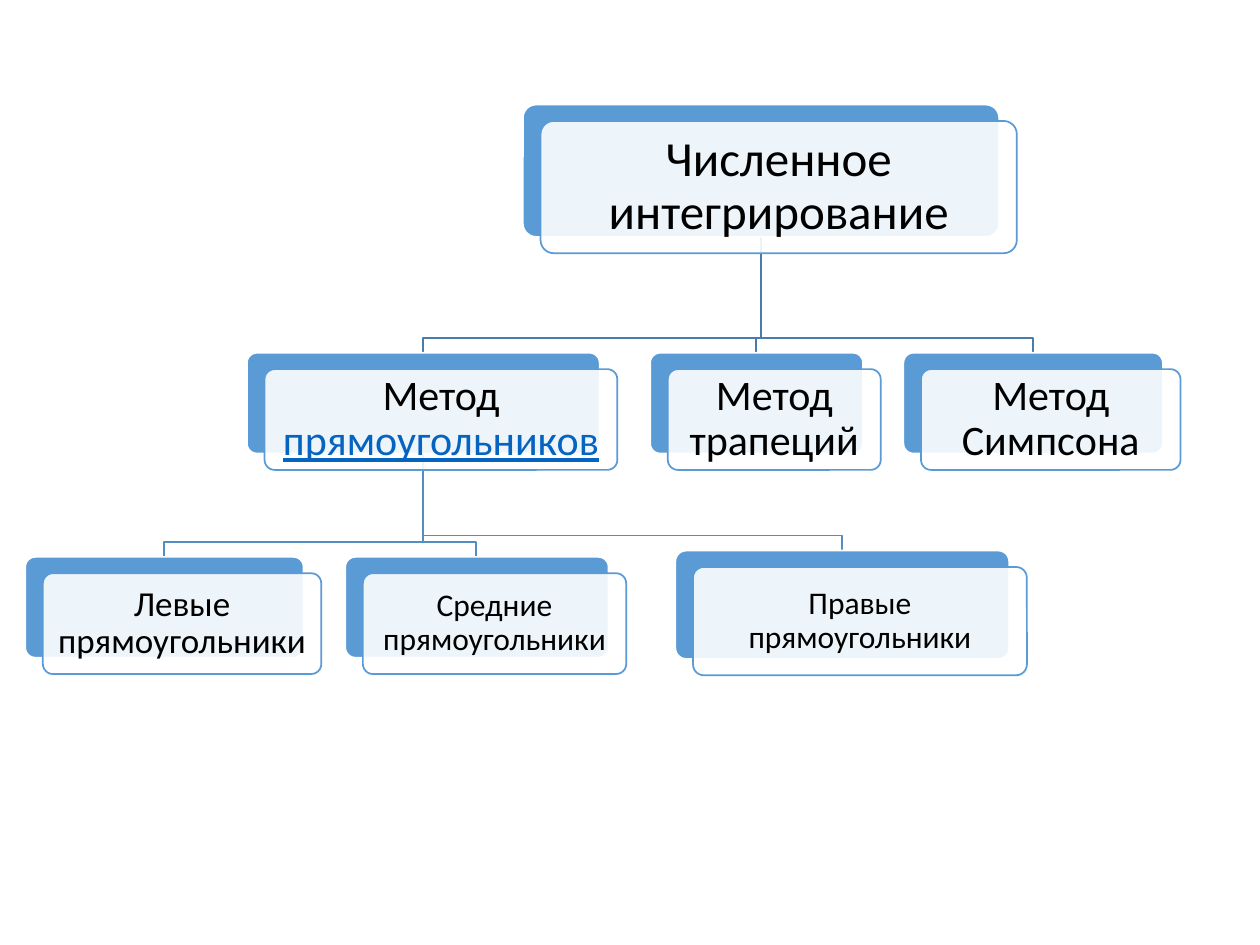
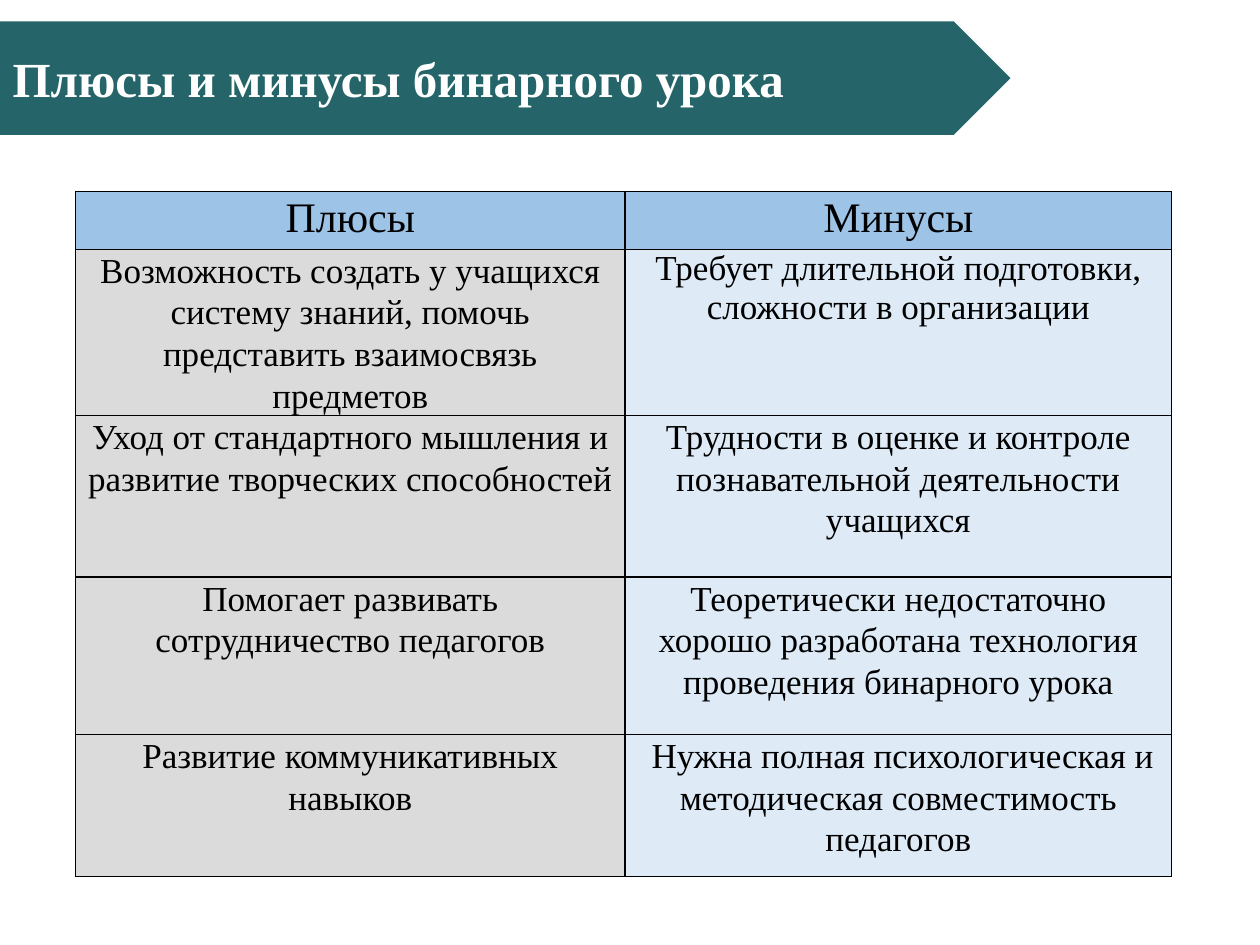
from lxml import etree
from pptx import Presentation
from pptx.dml.color import RGBColor
from pptx.enum.shapes import MSO_SHAPE
from pptx.enum.text import MSO_ANCHOR, MSO_AUTO_SIZE, PP_ALIGN
from pptx.oxml.ns import qn
from pptx.util import Pt

PX = 9144  # EMU per px, 100 px to the inch
ROUNDED, PENTAGON = MSO_SHAPE.ROUNDED_RECTANGLE, MSO_SHAPE.PENTAGON
CENTER, LEFT = PP_ALIGN.CENTER, PP_ALIGN.LEFT
MIDDLE, NO_FIT = MSO_ANCHOR.MIDDLE, MSO_AUTO_SIZE.NONE
TITLE_ONLY, BLANK = 5, 6

BLACK = RGBColor(0x00, 0x00, 0x00)
WHITE = RGBColor(0xFF, 0xFF, 0xFF)
BLUE = RGBColor(0x5B, 0x9B, 0xD5)
UPPER_BRANCH = RGBColor(0x49, 0x7C, 0xAB)
LOWER_BRANCH = RGBColor(0x53, 0x8D, 0xC1)
LINK_BLUE = RGBColor(0x05, 0x63, 0xC1)
TEAL = RGBColor(0x25, 0x65, 0x69)
HEADER_BLUE = RGBColor(0x9D, 0xC3, 0xE6)
PLUS_GREY = RGBColor(0xDB, 0xDB, 0xDB)
MINUS_BLUE = RGBColor(0xDE, 0xEB, 0xF7)

SANS, SERIF = "Calibri", "Times New Roman"
CARD_SHIFT, BEND_GAP = (14, 13), 12

# Cards: box of the back plate, text, size, text inset
ROOT = ((415, 83, 378, 105), "Численное интегрирование", 28, 12)
RECTANGLES = ((196, 280, 280, 80), "Метод прямоугольников", 24, 10)
METHODS = [
    RECTANGLES,
    ((516, 280, 169, 80), "Метод трапеций", 24, 10),
    ((717, 280, 206, 80), "Метод Симпсона", 24, 10),
]
VARIANTS = [
    ((20, 442, 221, 80), "Левые прямоугольники", 20, 8),
    ((274, 442, 209, 80), "Средние прямоугольники", 18, 7),
    ((536, 437, 265, 86), "Правые прямоугольники", 18, 7),
]
LINKED_WORD = "прямоугольников"

TITLE = "Плюсы и минусы бинарного урока"
PROS_AND_CONS = [
    ("Плюсы", "Минусы"),
    ("Возможность создать у учащихся систему знаний, помочь представить взаимосвязь предметов",
     "Требует длительной подготовки, сложности в организации"),
    ("Уход от стандартного мышления и развитие творческих способностей",
     "Трудности в оценке и контроле познавательной деятельности учащихся"),
    ("Помогает развивать сотрудничество педагогов",
     "Теоретически недостаточно хорошо разработана технология проведения бинарного урока"),
    ("Развитие коммуникативных навыков",
     " Нужна полная психологическая и методическая совместимость педагогов"),
]
SINGLE_SPACED = (1, 1)
COLUMN_WIDTHS = (436, 434)
ROW_HEIGHTS = (46, 132, 128, 125, 113)


def emu(*lengths):
    return [length * PX for length in lengths]


def apply(target, values):
    for name, value in values.items():
        setattr(target, name, value)


def add_run(paragraph, text, font, size, color, **extra):
    run = paragraph.add_run()
    run.text = text
    apply(run.font, {"name": font, "size": Pt(size), **extra})
    run.font.color.rgb = color


def set_margins(holder, horizontal, vertical):
    apply(holder, {"margin_left": horizontal * PX, "margin_right": horizontal * PX,
                   "margin_top": vertical * PX, "margin_bottom": vertical * PX})


def add_plate(slide, preset, box, fill, line=None):
    plate = slide.shapes.add_shape(preset, *emu(*box))
    plate.shadow.inherit = False
    plate.fill.solid()
    plate.fill.fore_color.rgb = fill
    if line is None:
        plate.line.fill.background()
    else:
        plate.line.color.rgb = line
        plate.line.width = Pt(1)
    return plate


def add_branch(slide, parent_box, child_box, color):
    """Bent line from the bottom of the parent to the top of the child."""
    left, top, width, height = parent_box
    start_x, start_y = left + width // 2, top + height
    end_x, end_y = child_box[0] + child_box[2] // 2, child_box[1]
    bend_y = end_y - BEND_GAP
    builder = slide.shapes.build_freeform(*emu(start_x, start_y))
    corners = [(start_x, bend_y), (end_x, bend_y), (end_x, end_y)]
    builder.add_line_segments([emu(*corner) for corner in corners], close=False)
    branch = builder.convert_to_shape()
    branch.shadow.inherit = False
    branch.fill.background()
    branch.line.color.rgb = color
    branch.line.width = Pt(1)


def add_card(slide, box, text, size, inset):
    left, top, width, height = box
    back = add_plate(slide, ROUNDED, box, BLUE, WHITE)
    front_box = (left + CARD_SHIFT[0], top + CARD_SHIFT[1], width, height)
    front = add_plate(slide, ROUNDED, front_box, WHITE, BLUE)
    for plate in (back, front):
        plate.adjustments[0] = 0.1
    # Front plate lets the back one shine through
    white = front.element.spPr.find(qn("a:solidFill"))[0]
    etree.SubElement(white, qn("a:alpha"), val="90000")

    frame = front.text_frame
    apply(frame, {"word_wrap": True, "vertical_anchor": MIDDLE})
    set_margins(frame, inset, inset)
    label = frame.paragraphs[0]
    apply(label, {"alignment": CENTER, "line_spacing": 0.9})
    plain, linked, _ = text.partition(LINKED_WORD)
    add_run(label, plain, SANS, size, BLACK)
    if linked:
        add_run(label, linked, SANS, size, LINK_BLUE, underline=True)


def build_methods_slide(prs):
    slide = prs.slides.add_slide(prs.slide_layouts[BLANK])
    # Branches lie behind the cards
    for parent, children, color in ((ROOT, METHODS, UPPER_BRANCH),
                                    (RECTANGLES, VARIANTS, LOWER_BRANCH)):
        for child in children:
            add_branch(slide, parent[0], child[0], color)
    for card in (ROOT, *METHODS, *VARIANTS):
        add_card(slide, *card)


def add_title_banner(slide, box):
    banner = add_plate(slide, PENTAGON, box, TEAL)
    title = slide.shapes.title
    title.element.addprevious(banner.element)
    apply(title, dict(zip(("left", "top", "width", "height"), emu(*box))))
    frame = title.text_frame
    apply(frame, {"word_wrap": True, "vertical_anchor": MIDDLE, "auto_size": NO_FIT})
    set_margins(frame, 10, 5)
    heading = frame.paragraphs[0]
    heading.alignment = LEFT
    add_run(heading, TITLE, SERIF, 28, WHITE, bold=True)


def add_borders(table_frame):
    for properties in table_frame.element.iter(qn("a:tcPr")):
        for index, side in enumerate(("lnL", "lnR", "lnT", "lnB")):
            border = etree.Element(qn(f"a:{side}"), w=str(Pt(0.75)))
            fill = etree.SubElement(border, qn("a:solidFill"))
            etree.SubElement(fill, qn("a:srgbClr"), val=str(BLACK))
            properties.insert(index, border)


def add_comparison(slide, left, top):
    box = (left, top, sum(COLUMN_WIDTHS), sum(ROW_HEIGHTS))
    table_frame = slide.shapes.add_table(len(ROW_HEIGHTS), len(COLUMN_WIDTHS), *emu(*box))
    table = table_frame.table
    apply(table, {"first_row": False, "horz_banding": False})
    for column, width in zip(table.columns, COLUMN_WIDTHS):
        column.width = width * PX
    for row, height in zip(table.rows, ROW_HEIGHTS):
        row.height = height * PX

    for row_index, statements in enumerate(PROS_AND_CONS):
        for column_index, statement in enumerate(statements):
            is_header = row_index == 0
            cell = table.cell(row_index, column_index)
            set_margins(cell, 7, 0)
            cell.fill.solid()
            cell.fill.fore_color.rgb = (
                HEADER_BLUE if is_header else (PLUS_GREY, MINUS_BLUE)[column_index])
            paragraph = cell.text_frame.paragraphs[0]
            paragraph.alignment = CENTER
            if (row_index, column_index) != SINGLE_SPACED:
                apply(paragraph, {"line_spacing": 1.07, "space_after": Pt(7.5)})
            add_run(paragraph, statement, SERIF, 24 if is_header else 20, BLACK)
    add_borders(table_frame)


def build_pros_and_cons_slide(prs):
    slide = prs.slides.add_slide(prs.slide_layouts[TITLE_ONLY])
    add_title_banner(slide, (0, 17, 802, 90))
    add_comparison(slide, 60, 152)


def main():
    prs = Presentation()
    prs.slide_width, prs.slide_height = emu(1000, 750)
    build_methods_slide(prs)
    build_pros_and_cons_slide(prs)
    prs.save("out.pptx")


if __name__ == "__main__":
    main()
